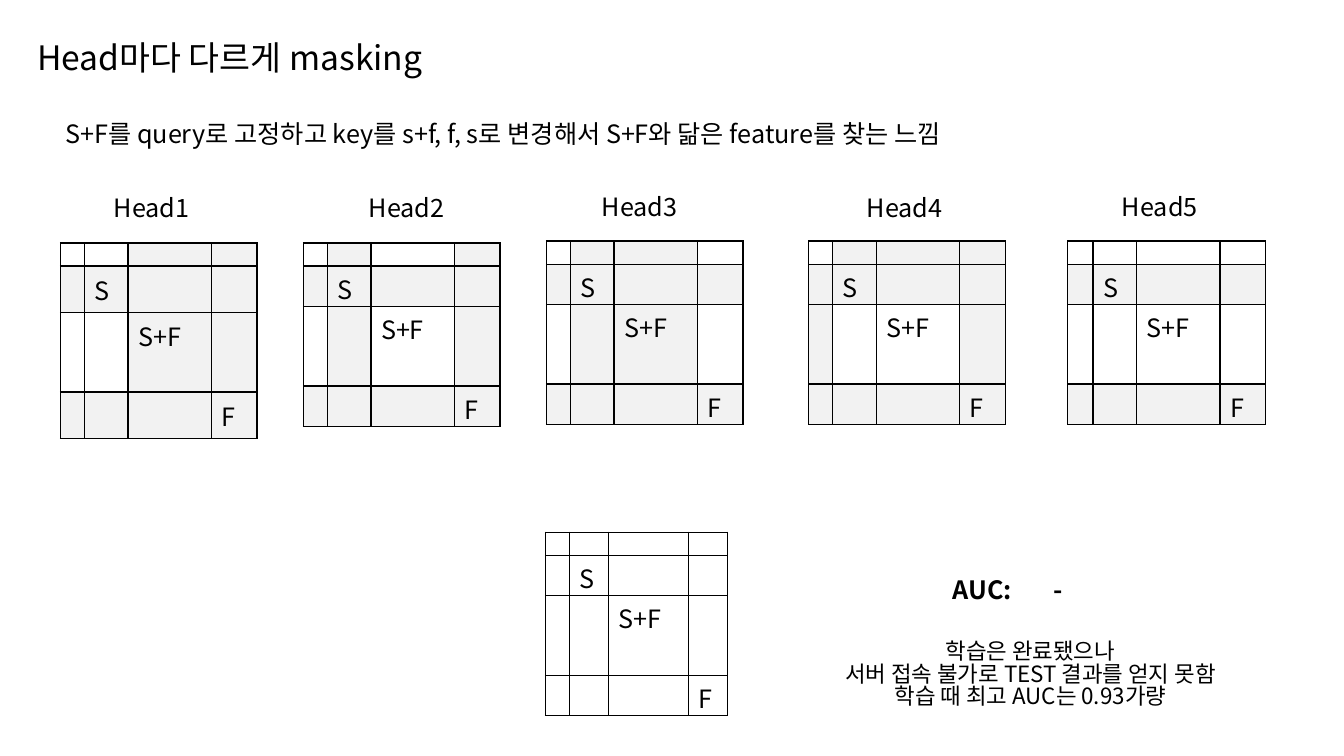
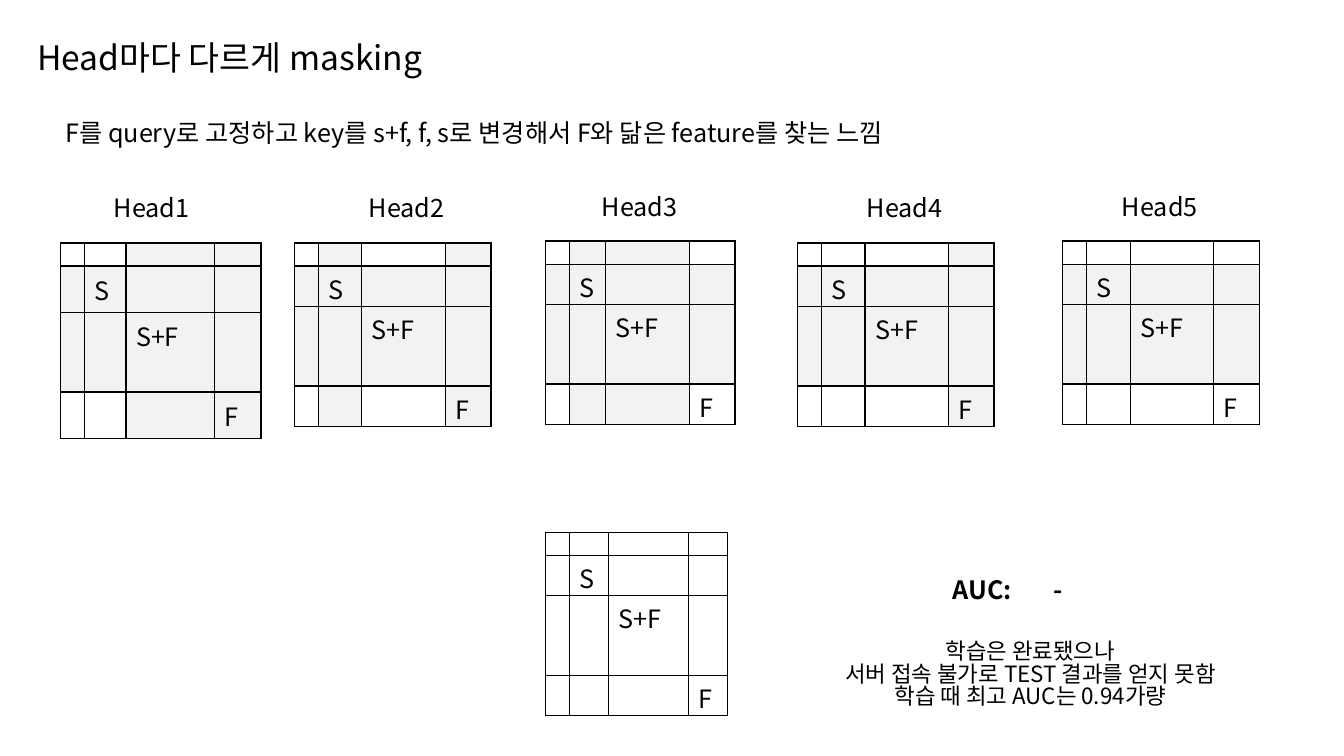
from lxml import etree
from pptx import Presentation
from pptx.dml.color import RGBColor
from pptx.enum.text import MSO_ANCHOR, MSO_AUTO_SIZE, PP_ALIGN
from pptx.oxml.ns import qn
from pptx.util import Inches, Pt

FONT = "Noto Sans CJK KR"
COLORS = {"ink": "000000", "open": "FFFFFF", "masked": "F2F2F2"}
TITLE_ONLY = 5

TITLE = "Head마다 다르게 masking"
HEAD_LABELS = [
    ("Head1", 1.03, 1.86),
    ("Head2", 3.56, 1.86),
    ("Head3", 5.87, 1.85),
    ("Head4", 8.5, 1.86),
    ("Head5", 11.03, 1.85),
]
BLOCKS = {(1, 1): "S", (2, 2): "S+F", (3, 3): "F"}

COLUMNS = (0.23, 0.43, 0.83, 0.45)
TIGHT_ROWS = (0.23, 0.4, 0.79, 0.4)
LOOSE_ROWS = (0.23, 0.46, 0.79, 0.46)
LEGEND = {"at": (5.41, 5.28), "columns": (0.23, 0.39, 0.79, 0.39)}

# In each mask, "1" marks a grey cell: first the top row, then the query row.
SLIDES = [
    {
        "query": "S+F",
        "query_row": 2,
        "caption_top": 1.12,
        "best_auc": "0.93",
        "heads": [
            {"at": (0.6, 2.41), "mask": ("0011", "0011"), "rows": LOOSE_ROWS},
            {"at": (3.01, 2.41), "mask": ("0101", "0101")},
            {"at": (5.42, 2.39), "mask": ("0110", "0110")},
            {"at": (8.02, 2.39), "mask": ("0111", "1001")},
            {"at": (10.59, 2.39), "mask": ("0000", "0000"),
             "columns": (0.25, 0.43, 0.83, 0.45)},
        ],
    },
    {
        "query": "F",
        "query_row": 3,
        "caption_top": 1.11,
        "best_auc": "0.94",
        "heads": [
            {"at": (0.6, 2.41), "mask": ("0011", "0011"), "rows": LOOSE_ROWS,
             "columns": (0.23, 0.41, 0.88, 0.46)},
            {"at": (2.92, 2.41), "mask": ("0101", "0101")},
            {"at": (5.41, 2.39), "mask": ("0110", "0110"),
             "columns": (0.23, 0.36, 0.83, 0.45)},
            {"at": (7.91, 2.41), "mask": ("0001", "0001")},
            {"at": (10.54, 2.39), "mask": ("0000", "0000")},
        ],
    },
]


def add_run(paragraph, text, size=18, bold=False):
    run = paragraph.add_run()
    run.text = text
    run.font.size = Pt(size)
    run.font.name = FONT
    run.font.bold = bold
    run.font.color.rgb = RGBColor.from_string(COLORS["ink"])
    east_asian = etree.SubElement(run.font._element, qn("a:ea"))
    east_asian.set("typeface", FONT)


def add_title(slide):
    title = slide.shapes.title
    title.left, title.top = Inches(0.27), Inches(-0.13)
    title.width, title.height = Inches(11.5), Inches(1.45)
    frame = title.text_frame
    frame.auto_size = MSO_AUTO_SIZE.NONE
    frame.vertical_anchor = MSO_ANCHOR.MIDDLE
    paragraph = frame.paragraphs[0]
    paragraph.alignment = PP_ALIGN.LEFT
    paragraph.line_spacing = 0.9
    add_run(paragraph, TITLE, 24)


def add_text(slide, lines, at, size=18, bold=False, anchor=MSO_ANCHOR.MIDDLE,
             alignment=PP_ALIGN.LEFT, line_spacing=None):
    frame = slide.shapes.add_textbox(*map(Inches, at)).text_frame
    frame.word_wrap = True
    frame.vertical_anchor = anchor
    for index, line in enumerate(lines):
        paragraph = frame.add_paragraph() if index else frame.paragraphs[0]
        paragraph.alignment = alignment
        paragraph.line_spacing = line_spacing
        add_run(paragraph, line, size, bold)


def add_borders(cell):
    """Draw all four sides; borders must precede the fill in the cell XML."""
    properties = cell._tc.get_or_add_tcPr()
    for side in ("lnL", "lnR", "lnT", "lnB"):
        line = etree.SubElement(properties, qn(f"a:{side}"), w=str(Pt(1)))
        fill = etree.SubElement(line, qn("a:solidFill"))
        etree.SubElement(fill, qn("a:srgbClr"), val=COLORS["ink"])


def add_grid(slide, masks, at, columns=COLUMNS, rows=TIGHT_ROWS):
    size = (sum(columns), sum(rows))
    frame = slide.shapes.add_table(len(rows), len(columns), *map(Inches, at + size))
    table = frame.table
    table.first_row = table.horz_banding = False
    for column, width in zip(table.columns, columns):
        column.width = Inches(width)
    margins = (0.05, 0.05) if rows == LOOSE_ROWS else (0.04, 0)
    for row, (height, mask) in enumerate(zip(rows, masks)):
        table.rows[row].height = Inches(height)
        for column, flag in enumerate(mask):
            cell = table.cell(row, column)
            add_borders(cell)
            cell.fill.solid()
            color = COLORS["masked" if flag == "1" else "open"]
            cell.fill.fore_color.rgb = RGBColor.from_string(color)
            paragraph = cell.text_frame.paragraphs[0]
            label = BLOCKS.get((row, column))
            top, bottom = margins if label else (0, 0)
            cell.margin_top, cell.margin_bottom = Inches(top), Inches(bottom)
            if label:
                add_run(paragraph, label)
            else:
                # A small end mark keeps empty cells from stretching the row.
                paragraph._p.get_or_add_endParaRPr().set("sz", "600")


def build_slide(presentation, content):
    slide = presentation.slides.add_slide(presentation.slide_layouts[TITLE_ONLY])
    add_title(slide)
    query = content["query"]
    caption = f"{query}를 query로 고정하고 key를 s+f, f, s로 변경해서 {query}와 닮은 feature를 찾는 느낌"
    add_text(slide, [caption], (0.55, content["caption_top"], 11.22, 0.4))

    for label, left, top in HEAD_LABELS:
        add_text(slide, [label], (left, top, 1.7, 0.4))
    for head in content["heads"]:
        masks = ["1111"] * 4
        masks[0], masks[content["query_row"]] = head["mask"]
        add_grid(slide, masks, head["at"], head.get("columns", COLUMNS),
                 head.get("rows", TIGHT_ROWS))
    add_grid(slide, ["0000"] * 4, **LEGEND)

    add_text(slide, ["AUC:\t-"], (9.35, 5.65, 2.85, 0.4), bold=True)
    note = [
        "학습은 완료됐으나",
        "서버 접속 불가로 TEST 결과를 얻지 못함",
        f"학습 때 최고 AUC는 {content['best_auc']}가량",
    ]
    add_text(slide, note, (8.05, 6.32, 4.34, 1.18), size=16, anchor=MSO_ANCHOR.TOP,
             alignment=PP_ALIGN.CENTER, line_spacing=0.83)


def main():
    presentation = Presentation()
    presentation.slide_width, presentation.slide_height = Inches(13.33), Inches(7.5)
    for content in SLIDES:
        build_slide(presentation, content)
    presentation.save("out.pptx")


if __name__ == "__main__":
    main()
